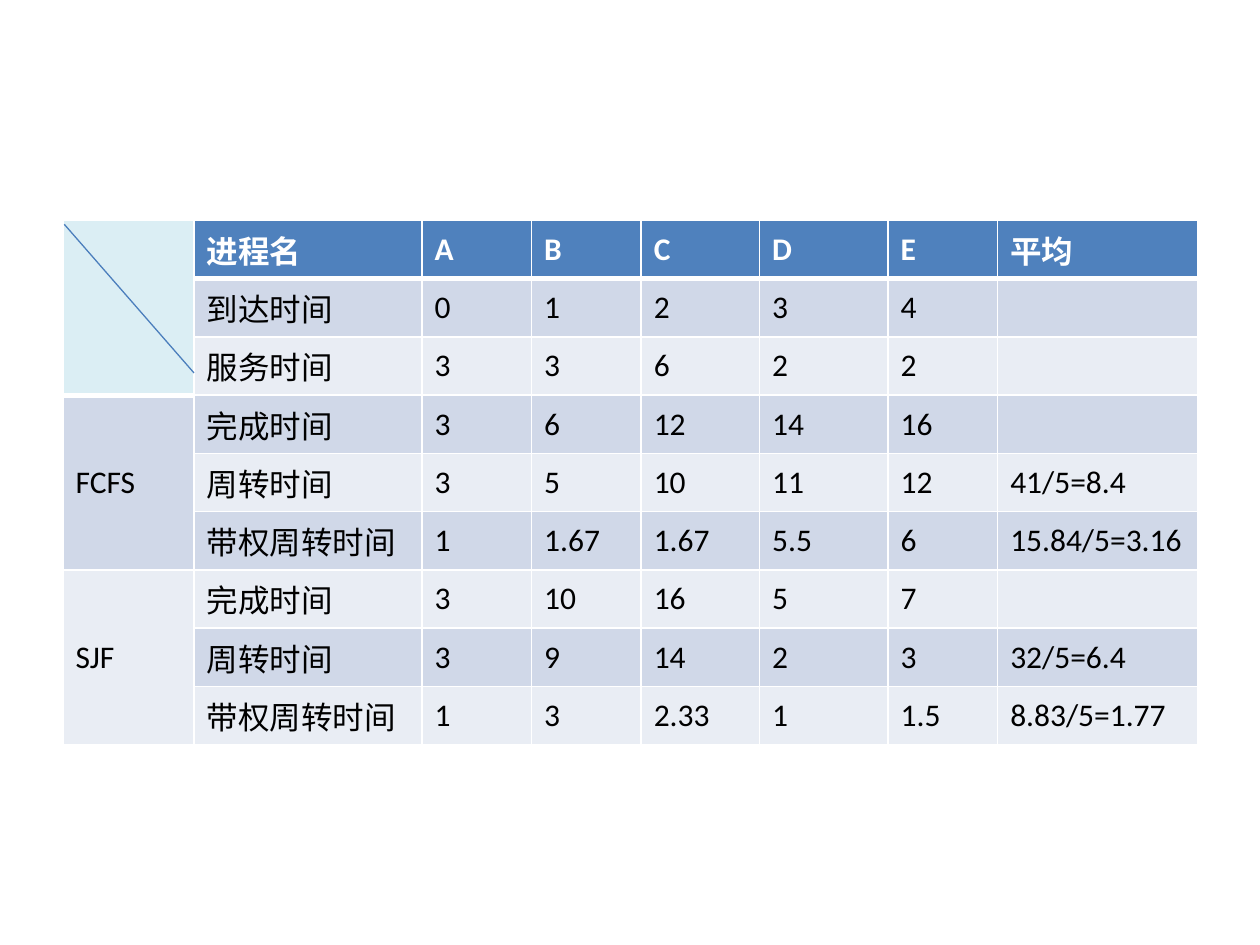
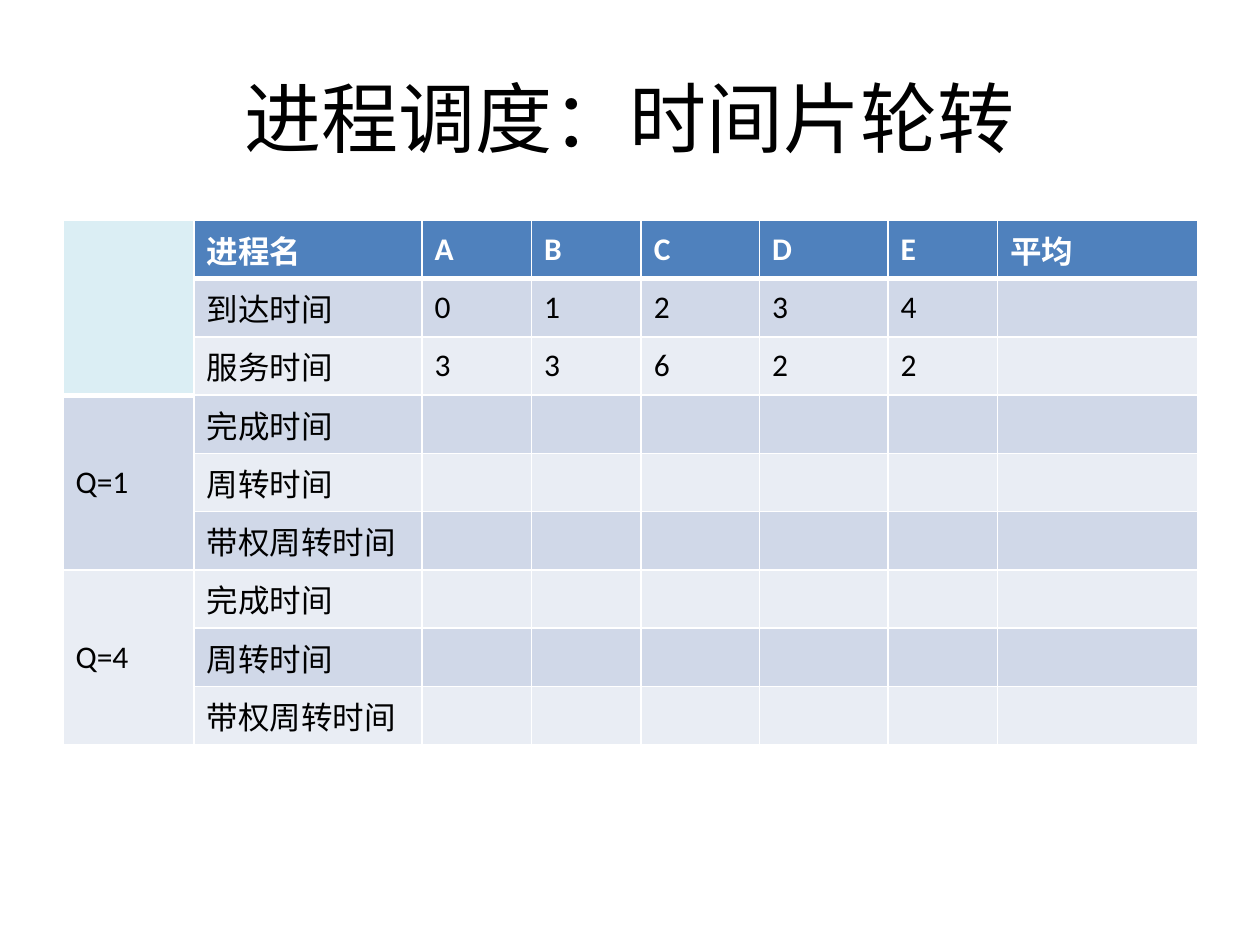
from lxml import etree
from pptx import Presentation
from pptx.dml.color import RGBColor
from pptx.enum.shapes import MSO_CONNECTOR
from pptx.enum.text import MSO_ANCHOR, PP_ALIGN
from pptx.oxml.ns import qn
from pptx.util import Inches, Pt

STRAIGHT = MSO_CONNECTOR.STRAIGHT
MIDDLE = MSO_ANCHOR.MIDDLE
LEFT, CENTER = PP_ALIGN.LEFT, PP_ALIGN.CENTER

FONT = "Calibri"
BLACK = RGBColor(0x00, 0x00, 0x00)
WHITE = RGBColor(0xFF, 0xFF, 0xFF)
HEADER = RGBColor(0x4F, 0x81, 0xBD)
CORNER = RGBColor(0xDB, 0xEE, 0xF4)
DARK_BAND = RGBColor(0xD0, 0xD8, 0xE8)
LIGHT_BAND = RGBColor(0xE9, 0xED, 0xF4)
DIAGONAL = RGBColor(0x4B, 0x7E, 0xBC)

TITLE_ONLY, BLANK = 5, 6
COLUMN_WIDTHS = [1.04, 1.81, 0.87, 0.87, 0.94, 1.02, 0.87, 1.59]
ROW_HEIGHT = 0.41
GROUP_SIZE = 3

PROCESSES = [
    ("进程名", "A", "B", "C", "D", "E", "平均"),
    ("到达时间", "0", "1", "2", "3", "4", ""),
    ("服务时间", "3", "3", "6", "2", "2", ""),
]
MEASURES = ["完成时间", "周转时间", "带权周转时间"]
NO_RESULTS = [[""] * 6] * len(MEASURES)

SLIDES = [
    {
        "title": None,
        "diagonal": ((0.51, 1.78), (1.54, 2.96)),
        "results": {
            "FCFS": [
                ("3", "6", "12", "14", "16", ""),
                ("3", "5", "10", "11", "12", "41/5=8.4"),
                ("1", "1.67", "1.67", "5.5", "6", "15.84/5=3.16"),
            ],
            "SJF": [
                ("3", "10", "16", "5", "7", ""),
                ("3", "9", "14", "2", "3", "32/5=6.4"),
                ("1", "3", "2.33", "1", "1.5", "8.83/5=1.77"),
            ],
        },
    },
    {
        "title": "进程调度：时间片轮转",
        "diagonal": None,
        "results": {"Q=1": NO_RESULTS, "Q=4": NO_RESULTS},
    },
]


def write(frame, text, size=18, color=BLACK, bold=False, align=LEFT):
    para = frame.paragraphs[0]
    para.alignment = align
    span = para.add_run()
    span.text = text
    span.font.name = FONT
    span.font.size = Pt(size)
    span.font.bold = bold
    span.font.color.rgb = color


def set_borders(cell, top, bottom):
    properties = cell._tc.get_or_add_tcPr()
    for side, width in (("L", 1), ("R", 1), ("T", top), ("B", bottom)):
        line = etree.SubElement(properties, qn(f"a:ln{side}"), w=str(Pt(width)))
        fill = etree.SubElement(line, qn("a:solidFill"))
        etree.SubElement(fill, qn("a:srgbClr"), val=str(WHITE))


def table_rows(results):
    rows = [("", *values) for values in PROCESSES]
    for group, group_results in results.items():
        for index, (measure, values) in enumerate(zip(MEASURES, group_results)):
            rows.append((group if index == 0 else "", measure, *values))
    return rows


def cell_fill(row, column):
    band_row = row - row % GROUP_SIZE if column == 0 else row
    if band_row == 0:
        return CORNER if column == 0 else HEADER
    return DARK_BAND if band_row % 2 else LIGHT_BAND


def add_schedule(page, results):
    rows = table_rows(results)
    table = page.shapes.add_table(
        len(rows), len(COLUMN_WIDTHS), Inches(0.5), Inches(1.75),
        Inches(sum(COLUMN_WIDTHS)), Inches(ROW_HEIGHT * len(rows))).table
    table.first_row = table.horz_banding = False
    for column, width in zip(table.columns, COLUMN_WIDTHS):
        column.width = Inches(width)
    for row in table.rows:
        row.height = Inches(ROW_HEIGHT)
    for first in range(0, len(rows), GROUP_SIZE):
        table.cell(first, 0).merge(table.cell(first + GROUP_SIZE - 1, 0))

    for row, values in enumerate(rows):
        for column, text in enumerate(values):
            cell = table.cell(row, column)
            cell.vertical_anchor = MIDDLE
            header_end = GROUP_SIZE if column == 0 else 1
            set_borders(cell, top=3 if row == header_end else 1,
                        bottom=3 if row < header_end else 1)
            cell.fill.solid()
            cell.fill.fore_color.rgb = cell_fill(row, column)
            if text:
                is_header = row == 0
                write(cell.text_frame, text, bold=is_header,
                      color=WHITE if is_header else BLACK)


def add_diagonal(page, start, end):
    line = page.shapes.add_connector(
        STRAIGHT, *(Inches(value) for value in (*start, *end)))
    line.line.color.rgb = DIAGONAL
    line.line.width = Pt(0.75)
    etree.SubElement(line._element.spPr, qn("a:effectLst"))


def add_title(page, text):
    title = page.shapes.title
    title.left, title.top = Inches(0.5), Inches(0.3)
    title.width, title.height = Inches(9), Inches(1.25)
    title.text_frame.vertical_anchor = MIDDLE
    write(title.text_frame, text, size=44, align=CENTER)


deck = Presentation()
deck.slide_width, deck.slide_height = Inches(10), Inches(7.5)
for content in SLIDES:
    layout = TITLE_ONLY if content["title"] else BLANK
    page = deck.slides.add_slide(deck.slide_layouts[layout])
    if content["title"]:
        add_title(page, content["title"])
    add_schedule(page, content["results"])
    if content["diagonal"]:
        add_diagonal(page, *content["diagonal"])
deck.save("out.pptx")
